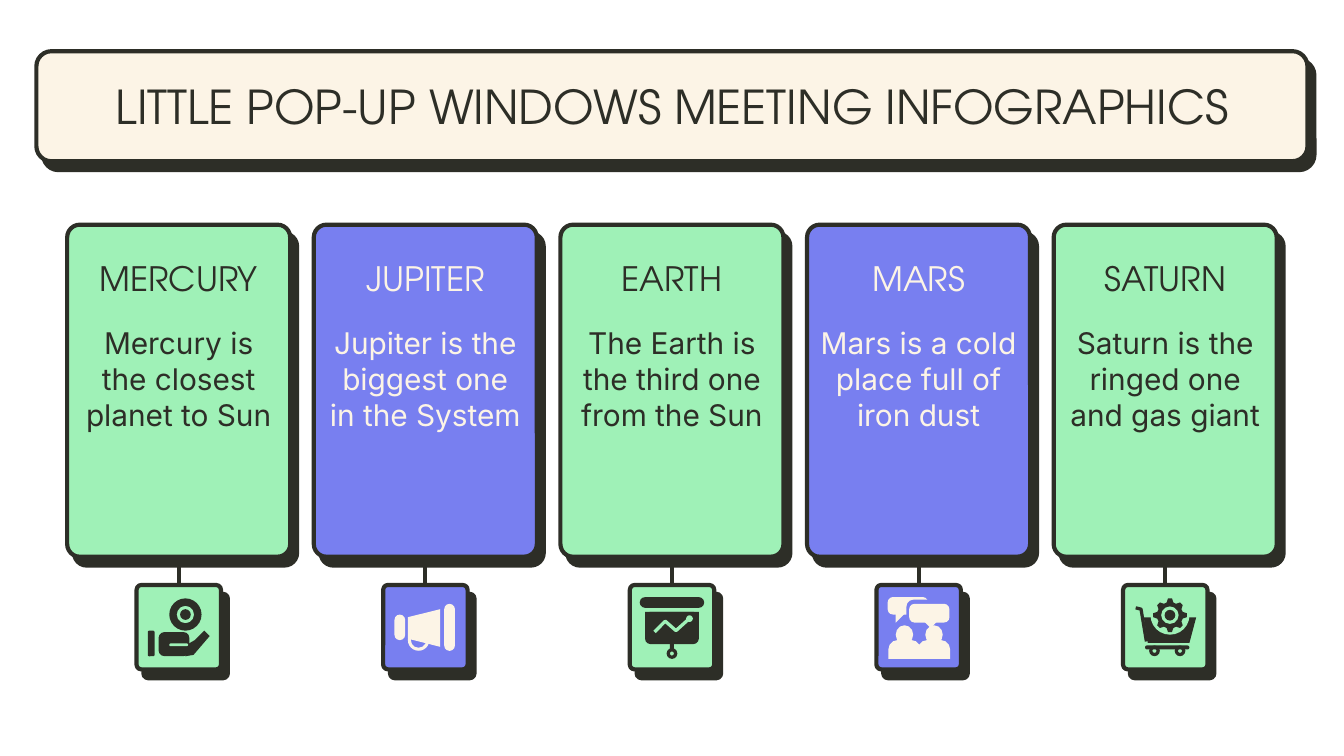
"""Build a slide of five planet cards, each wired to an icon tile drawn on a grid of 0.72 pt."""
from dataclasses import dataclass
from math import cos, pi, sin
from lxml.etree import SubElement
from pptx import Presentation
from pptx.dml.color import RGBColor as Color
from pptx.enum.shapes import MSO_CONNECTOR as Wire, MSO_SHAPE as Form
from pptx.enum.text import MSO_ANCHOR as Anchor, PP_ALIGN as Align
from pptx.oxml.ns import qn
from pptx.util import Pt


@dataclass(frozen=True)
class Theme:
    dark: Color = Color.from_string("2D2E27")
    cream: Color = Color.from_string("FCF4E6")
    mint: Color = Color.from_string("9FF1B7")
    violet: Color = Color.from_string("787FF0")
    head: str = "TeX Gyre Adventor"
    body: str = "Inter"
    title: float = 25
    name: float = 18
    note: float = 16
    line: float = 2.25
    thin: float = 1.75


@dataclass(frozen=True)
class Part:
    form: object
    spot: tuple
    curve: float = None
    cut: bool = False


theme = Theme()
deck = Presentation()
deck.slide_width, deck.slide_height = Pt(720), Pt(405)
slide = deck.slides.add_slide(deck.slide_layouts[6])
shapes = slide.shapes


def draw(form, x, y, w, h, fill, curve=None, framed=False):
    """Draw a filled shape, framed with a line and a hard shadow if asked."""
    shape = shapes.add_shape(form, Pt(x), Pt(y), Pt(w), Pt(h))
    if curve is not None:
        shape.adjustments[0] = curve
    shape.fill.solid()
    shape.fill.fore_color.rgb = fill
    shape.shadow.inherit = False
    if not framed:
        shape.line.fill.background()
        return shape
    shape.line.color.rgb = theme.dark
    shape.line.width = Pt(theme.line)
    effects = shape._element.spPr.find(qn("a:effectLst"))
    shade = SubElement(effects, qn("a:outerShdw"), blurRad="0", dist=str(Pt(6)),
                       dir=str(52 * 60000), algn="bl", rotWithShape="0")
    SubElement(shade, qn("a:srgbClr"), val=str(theme.dark))
    return shape


def write(text, x, y, w, h, font, size, color, inset=7.2, anchor=Anchor.TOP):
    """Write one centred paragraph in a wrapping text box."""
    frame = shapes.add_textbox(Pt(x), Pt(y), Pt(w), Pt(h)).text_frame
    frame.word_wrap = True
    frame.vertical_anchor = anchor
    frame.margin_left = frame.margin_right = Pt(inset)
    frame.margin_top = frame.margin_bottom = Pt(inset)
    para = frame.paragraphs[0]
    para.alignment = Align.CENTER
    run = para.add_run()
    run.text = text
    run.font.name, run.font.size = font, Pt(size)
    run.font.color.rgb = color


OVAL, RING, RECT, ROUND = Form.OVAL, Form.DONUT, Form.RECTANGLE, Form.ROUNDED_RECTANGLE
DOME, AREA, STROKE = Form.ROUND_2_SAME_RECTANGLE, "area", "stroke"
pill, hoop = 0.5, 0.31

coin = {
    "coin": Part(RING, (-7, 10, 24, 24), 0.23),
    "core": Part(OVAL, (1, 18, 8, 8)),
    "cuff": Part(ROUND, (-23, 34, 5, 19), 0.2),
    "palm": Part(ROUND, (-15, 35, 23, 18), 0.25),
    "fingers": Part(AREA, ((5, 53), (11, 52), (23, 38), (19, 34), (12, 41), (5, 45))),
    "crease": Part(ROUND, (-7, 43.5, 14, 2), pill, cut=True)}

horn = {
    "mouth": Part(ROUND, (-23, 22, 8, 19), pill),
    "handle": Part(RING, (-13, 33, 16, 16), 0.14),
    "cone": Part(AREA, ((-13, 24), (11, 18), (11, 46), (-13, 40))),
    "rim": Part(ROUND, (14, 14, 8, 35), pill)}

board = {
    "rail": Part(ROUND, (-24, 9, 48, 8), pill),
    "top": Part(RECT, (-20, 20, 40, 12)),
    "sheet": Part(ROUND, (-20, 20, 40, 24), 0.17),
    "cord": Part(RECT, (-1.5, 44, 3, 4)),
    "pull": Part(RING, (-4, 47, 8, 8), hoop),
    "trend": Part(STROKE, ((-13, 35), (-5, 27), (3, 34), (13, 25)), cut=True),
    "tip": Part(OVAL, (10.5, 22.5, 5, 5), cut=True)}

talk = {
    "reply": Part(ROUND, (-23, 9, 30, 13), 0.3),
    "hook": Part(AREA, ((-17, 21), (-17, 28), (-10, 21))),
    "gap": Part(ROUND, (-9, 11, 34, 18), 0.29, cut=True),
    "bubble": Part(ROUND, (-7, 14, 30, 14), 0.29),
    "tail": Part(AREA, ((4, 27), (9, 32), (14, 27)))}
for mid in (-10.5, 11.5):
    talk["head", mid] = Part(OVAL, (mid - 6.5, 30, 13, 14))
    talk["torso", mid] = Part(DOME, (mid - 12, 41, 24, 14), pill)

hub, teeth, turn = (3.5, 22.5), 8, 2 * pi / 32
radii = [12.5, 12.5, 9.5, 9.5] * teeth
gear = [(hub[0] + r * cos((i - 0.5) * turn), hub[1] + r * sin((i - 0.5) * turn))
        for i, r in enumerate(radii)]
cart = {
    "grip": Part(STROKE, ((-22, 17), (-18, 18), (-14, 42))),
    "basket": Part(AREA, ((-16, 24), (23, 24), (18, 43), (-13, 43))),
    "base": Part(ROUND, (-15, 45, 33, 3), pill)}
for x in (-12, 7):
    cart["wheel", x] = Part(RING, (x, 45, 8, 8), hoop)
for name, r, cut in (("gap", 14.5, True), ("gear", 0, False), ("hole", 6.5, True),
                     ("axle", 4, False)):
    disc = (hub[0] - r, hub[1] - r, 2 * r, 2 * r)
    cart[name] = Part(OVAL, disc, cut=cut) if r else Part(AREA, tuple(gear))

cards = [
    ("MERCURY", "Mercury is the closest planet to Sun", coin),
    ("JUPITER", "Jupiter is the biggest one in the System", horn),
    ("EARTH", "The Earth is the third one from the Sun", board),
    ("MARS", "Mars is a cold place full of iron dust", talk),
    ("SATURN", "Saturn is the ringed one and gas giant", cart)]
paints = [(theme.mint, theme.dark), (theme.violet, theme.cream)]

draw(ROUND, 19.5, 27.4, 681, 59, theme.cream, 0.138, True)
write("LITTLE POP-UP WINDOWS MEETING INFOGRAPHICS", 36, 32.4, 648, 49,
      theme.head, theme.title, theme.dark, 0, Anchor.MIDDLE)

left, top, wide, high = 36, 120.4, 119.5, 177.9
step = (720 - 2 * left - wide) / (len(cards) - 1)
base, side, grid, bend = 313.4, 45.2, 0.72, 0.057

for i, (name, note, icon) in enumerate(cards):
    x = left + i * step
    mid = x + wide / 2
    fill, ink = paints[i % 2]
    card = draw(ROUND, x, top, wide, high, fill, bend, True)
    tile = draw(ROUND, mid - side / 2, base, side, side, fill, bend, True)
    link = shapes.add_connector(Wire.STRAIGHT, Pt(mid), Pt(top + high), Pt(mid), Pt(base))
    link.begin_connect(card, 2)
    link.end_connect(tile, 0)
    link.line.color.rgb = theme.dark
    link.line.width = Pt(theme.line)
    SubElement(link._element.spPr, qn("a:effectLst"))
    write(name, x, 131, wide, 36, theme.head, theme.name, ink)
    write(note, x, 167, wide, 70.6, theme.body, theme.note, ink)

    for part in icon.values():
        paint = fill if part.cut else ink
        if part.form not in (AREA, STROKE):
            dx, dy, w, h = [n * grid for n in part.spot]
            draw(part.form, mid + dx, base + dy, w, h, paint, part.curve)
            continue
        pen = shapes.build_freeform(*part.spot[0], scale=Pt(grid))
        pen.add_line_segments(part.spot[1:], close=part.form == AREA)
        path = pen.convert_to_shape(Pt(mid), Pt(base))
        path.shadow.inherit = False
        if part.form == AREA:
            path.fill.solid()
            path.fill.fore_color.rgb = paint
            path.line.fill.background()
        else:
            path.fill.background()
            path.line.color.rgb = paint
            path.line.width = Pt(theme.thin)

deck.save("out.pptx")
